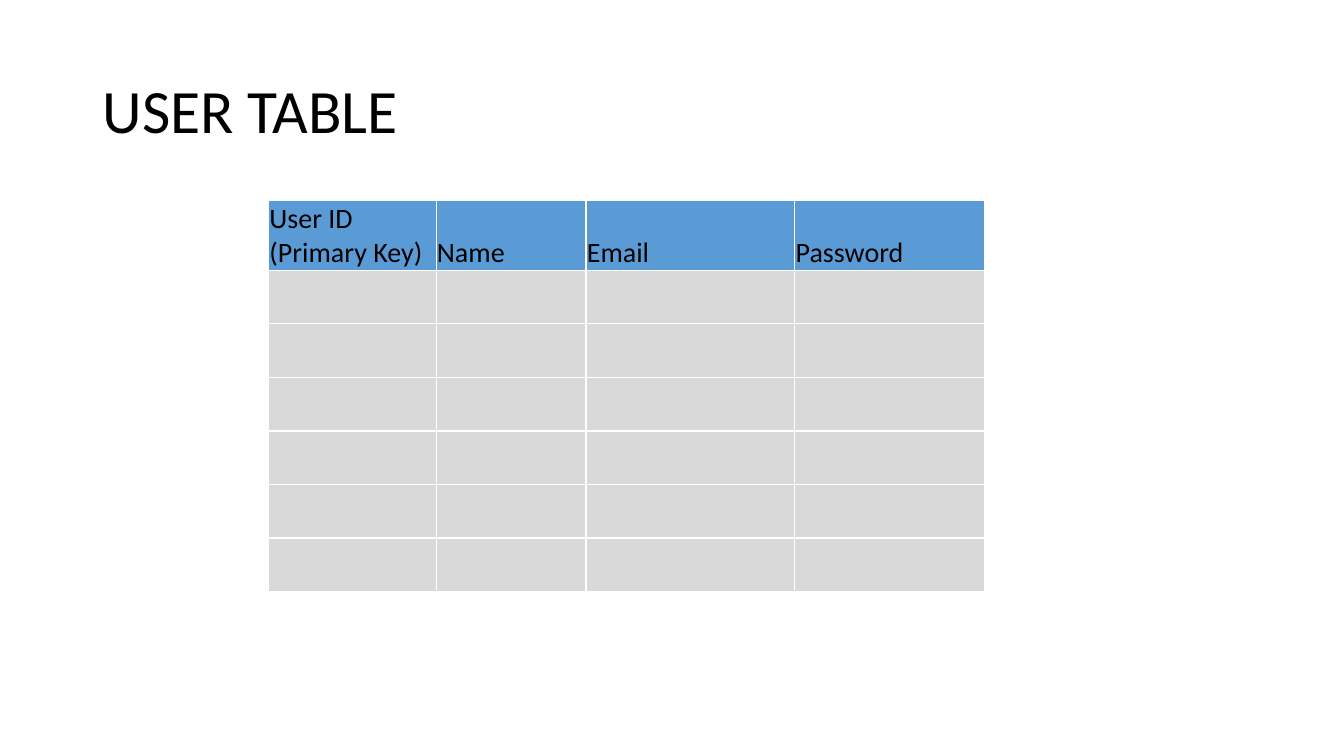
from lxml import etree
from pptx import Presentation
from pptx.dml.color import RGBColor
from pptx.enum.text import MSO_ANCHOR, PP_ALIGN
from pptx.oxml.ns import qn
from pptx.util import Cm, Pt

LEFT = PP_ALIGN.LEFT
MIDDLE = MSO_ANCHOR.MIDDLE
BOTTOM = MSO_ANCHOR.BOTTOM

FONT = "Calibri"
COLORS = {"text": "000000", "header": "5B9BD5", "body": "D9D9D9", "border": "FFFFFF"}
COLUMNS = [
    ("User ID (Primary Key)", 4.22),
    ("Name", 3.78),
    ("Email", 5.26),
    ("Password", 4.78),
]
ROWS = 7
ROW_HEIGHT = 1.35


def rgb(name):
    """Return the named colour."""
    return RGBColor.from_string(COLORS[name])


def style_paragraph(p, size):
    """Apply the slide's font to a left-aligned paragraph."""
    p.alignment = LEFT
    p.font.name = FONT
    p.font.size = Pt(size)
    p.font.bold = False
    p.font.color.rgb = rgb("text")


def add_borders(cell):
    """Draw a thin border on each side of a cell."""
    tc_pr = cell._tc.get_or_add_tcPr()
    for side in ("lnL", "lnR", "lnT", "lnB"):
        ln = etree.SubElement(tc_pr, qn(f"a:{side}"), w=str(Pt(1)))
        fill = etree.SubElement(ln, qn("a:solidFill"))
        etree.SubElement(fill, qn("a:srgbClr"), val=COLORS["border"])


def add_title(s, text, left, top, width, height):
    """Place the slide title in the given box."""
    sp = s.shapes.title
    sp.left, sp.top, sp.width, sp.height = left, top, width, height
    tf = sp.text_frame
    tf.text = text
    tf.word_wrap = True
    tf.vertical_anchor = MIDDLE
    p = tf.paragraphs[0]
    p.line_spacing = 0.9
    style_paragraph(p, 44)


def add_header_text(cell, text):
    """Write a column heading at the bottom of its cell."""
    cell.text = text
    cell.vertical_anchor = BOTTOM
    cell.margin_left = cell.margin_right = cell.margin_top = Cm(0.02)
    cell.margin_bottom = 0
    style_paragraph(cell.text_frame.paragraphs[0], 20)


def add_user_table(s, left, top, width, height):
    """Build the user table with a header and empty rows."""
    table = s.shapes.add_table(ROWS, len(COLUMNS), left, top, width, height).table
    table.first_row = False
    table.horz_banding = False
    for row in table.rows:
        row.height = Cm(ROW_HEIGHT)
    for c, (heading, col_width) in enumerate(COLUMNS):
        table.columns[c].width = Cm(col_width)
        add_header_text(table.cell(0, c), heading)
        for r in range(ROWS):
            cell = table.cell(r, c)
            add_borders(cell)
            cell.fill.solid()
            cell.fill.fore_color.rgb = rgb("body" if r else "header")


def main():
    """Build and save the presentation."""
    prs = Presentation()
    prs.slide_width, prs.slide_height = Cm(33.87), Cm(19.05)
    s = prs.slides.add_slide(prs.slide_layouts[5])
    add_title(s, "USER TABLE", Cm(2.33), Cm(1.01), Cm(29.21), Cm(3.68))
    add_user_table(s, Cm(6.77), Cm(5.06), Cm(18.04), Cm(ROWS * ROW_HEIGHT))
    prs.save("out.pptx")


if __name__ == "__main__":
    main()
